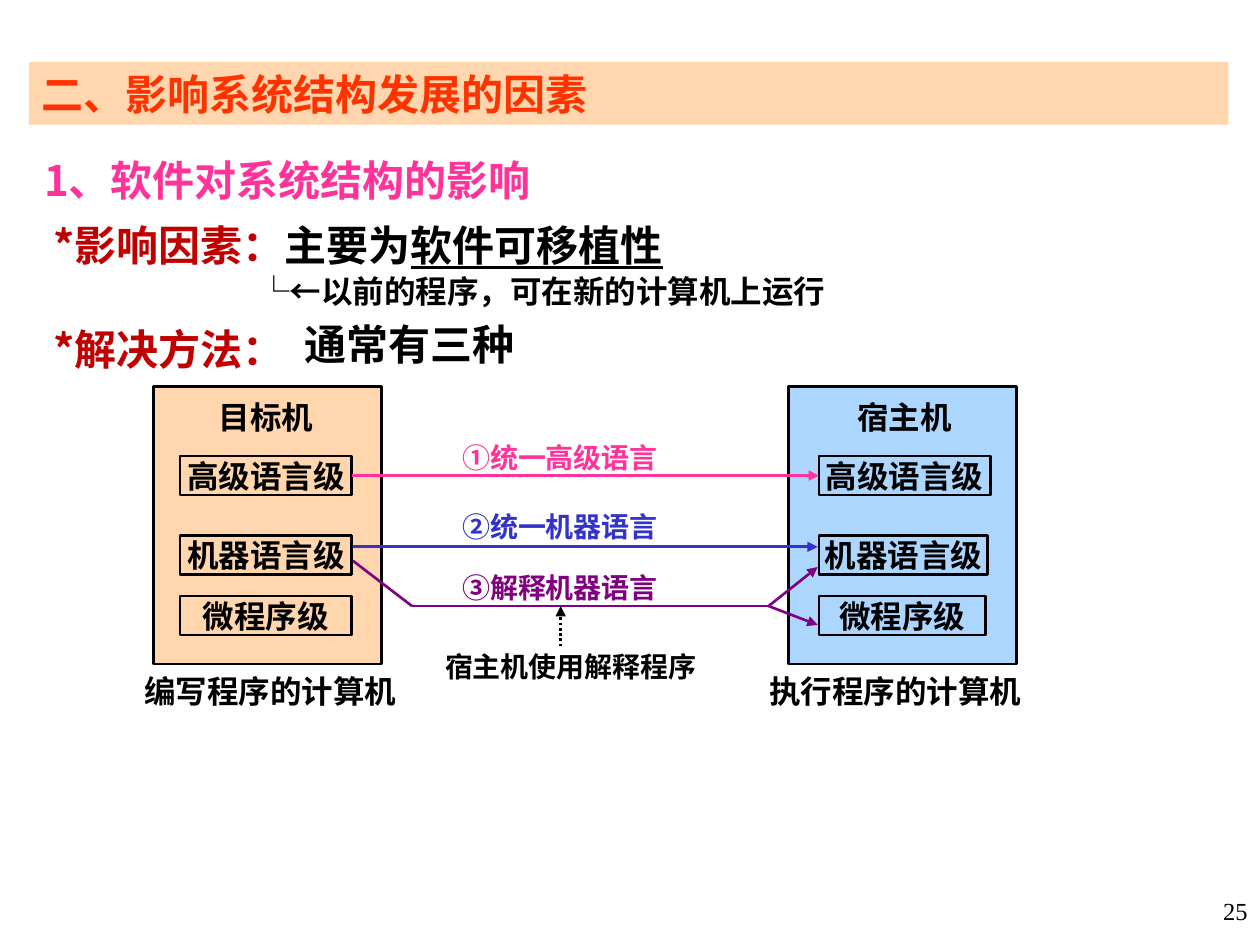
"""Build a slide on how software portability shapes computer architecture."""
from dataclasses import dataclass

from lxml.etree import SubElement
from pptx import Presentation
from pptx.dml.color import RGBColor
from pptx.enum.dml import MSO_LINE
from pptx.enum.shapes import MSO_CONNECTOR, MSO_SHAPE
from pptx.enum.text import MSO_ANCHOR, MSO_AUTO_SIZE, PP_ALIGN
from pptx.oxml.ns import qn
from pptx.util import Inches, Pt


@dataclass(frozen=True)
class Theme:
    latin: str = "Times New Roman"
    chinese: str = "Noto Sans CJK SC"
    black: str = "000000"
    orange: str = "FF3300"
    pink: str = "FF3399"
    red: str = "C00000"
    blue: str = "3333CC"
    purple: str = "800080"
    peach: str = "FFCC99"
    sky: str = "99CCFF"
    heading: int = 24
    label: int = 18
    route: int = 16
    number: int = 14
    line: float = 1.5


theme = Theme()


def add_run(paragraph, text, size, color, latin=theme.latin, bold=True):
    run = paragraph.add_run()
    run.text = text
    run.font.size = Pt(size)
    run.font.bold = bold
    run.font.color.rgb = RGBColor.from_string(color)
    run.font.name = latin
    SubElement(run.font._element, qn("a:ea"), typeface=theme.chinese)
    return run


def add_label(shape, text, size, color=theme.black):
    frame = shape.text_frame
    frame.word_wrap = True
    frame.vertical_anchor = MSO_ANCHOR.MIDDLE
    frame.margin_left = frame.margin_right = Inches(0.02)
    frame.margin_top = frame.margin_bottom = Inches(0.01)
    paragraph = frame.paragraphs[0]
    paragraph.alignment = PP_ALIGN.CENTER
    add_run(paragraph, text, size, color)


presentation = Presentation()
presentation.slide_width, presentation.slide_height = Inches(10), Inches(7.5)
slide = presentation.slides.add_slide(presentation.slide_layouts[1])
shapes = slide.shapes

number = shapes.add_textbox(Inches(8.86), Inches(7.06), Inches(1.14), Inches(0.39))
number.text_frame.word_wrap = True
number_line = number.text_frame.paragraphs[0]
number_line.alignment = PP_ALIGN.RIGHT
add_run(number_line, "25", theme.number, theme.black, bold=False)

title = shapes.title
title.left, title.top = Inches(0.23), Inches(0.49)
title.width, title.height = Inches(9.52), Inches(0.5)
title.text_frame.auto_size = MSO_AUTO_SIZE.NONE
title.text_frame.vertical_anchor = MSO_ANCHOR.MIDDLE
title_line = title.text_frame.paragraphs[0]
title_line.alignment = PP_ALIGN.LEFT
add_run(title_line, "二、影响系统结构发展的因素", theme.heading, theme.orange)

body = slide.placeholders[1]
body.left, body.top = Inches(0.25), Inches(1.07)
body.width, body.height = Inches(9.5), Inches(1.93)
body.text_frame.auto_size = MSO_AUTO_SIZE.NONE
body_lines = [
    (theme.heading, 36.7, 0, [("1、软件对系统结构的影响", theme.pink)]),
    (theme.heading, 36.7, 0, [
        (" *影响因素：", theme.red), ("主要为", theme.black), ("软件可移植性", theme.black)]),
    (theme.label, 23, 1.7, [
        ("└", theme.black), ("←以前的程序，可在新的计算机上运行", theme.black)]),
    (theme.heading, 36.7, 0, [(" *解决方法：", theme.red)]),
]
for index, (size, spacing, indent, pieces) in enumerate(body_lines):
    frame = body.text_frame
    paragraph = frame.add_paragraph() if index else frame.paragraphs[0]
    paragraph.space_before = Pt(0)
    paragraph.line_spacing = Pt(spacing)
    properties = paragraph._p.get_or_add_pPr()
    properties.set("marL", str(Inches(indent)))
    properties.set("indent", "0")
    SubElement(properties, qn("a:buNone"))
    for text, color in pieces:
        run = add_run(paragraph, text, size, color, theme.chinese, text != "└")
        if text == "软件可移植性":
            run.font.underline = True

methods = shapes.add_textbox(Inches(2.32), Inches(2.37), Inches(2.44), Inches(0.61))
methods.text_frame.word_wrap = True
methods_line = methods.text_frame.paragraphs[0]
methods_line.line_spacing = Pt(36.7)
add_run(methods_line, "通常有三种", theme.heading, theme.black, theme.chinese)

levels = [("高级语言级", 3.62), ("机器语言级", 4.25), ("微程序级", 4.73)]
machines = [
    ("目标机", theme.peach, 1.22, 1.43, (1.36, 1.36, 1.36), "编写程序的计算机", 1.1),
    ("宿主机", theme.sky, 6.26, 6.5, (1.36, 1.34, 1.32), "执行程序的计算机", 6.06),
]
tinted = [(title, theme.peach)]
level_boxes = {}
for name, color, panel_left, box_left, widths, caption, caption_left in machines:
    panel = shapes.add_shape(
        MSO_SHAPE.RECTANGLE, Inches(panel_left), Inches(3.07), Inches(1.81), Inches(2.2))
    tinted.append((panel, color))
    outlined = [panel]
    for (level, top), width in zip(levels, widths):
        box = shapes.add_shape(
            MSO_SHAPE.RECTANGLE, Inches(box_left), Inches(top), Inches(width), Inches(0.31))
        box.fill.background()
        add_label(box, level, theme.label)
        level_boxes[name, level] = box
        outlined.append(box)
    for shape in outlined:
        shape.shadow.inherit = False
        shape.line.color.rgb = RGBColor.from_string(theme.black)
        shape.line.width = Pt(theme.line)
    for text, left, top, width in [
            (name, box_left, 3.15, 1.36), (caption, caption_left, 5.33, 2.09)]:
        label = shapes.add_textbox(Inches(left), Inches(top), Inches(width), Inches(0.31))
        add_label(label, text, theme.label)

for shape, color in tinted:
    shape.fill.solid()
    shape.fill.fore_color.rgb = RGBColor.from_string(color)
    tint = shape.element.spPr.find(qn("a:solidFill"))[0]
    SubElement(tint, qn("a:alpha"), val="80000")

for text, left, top, width, color in [
        ("①统一高级语言", 3.58, 3.47, 1.73, theme.pink),
        ("②统一机器语言", 3.58, 4.02, 1.73, theme.blue),
        ("③解释机器语言", 3.58, 4.5, 1.73, theme.purple),
        ("宿主机使用解释程序", 3.35, 5.13, 2.36, theme.black)]:
    label = shapes.add_textbox(Inches(left), Inches(top), Inches(width), Inches(0.32))
    add_label(label, text, theme.route, color)

routes = [
    (2.79, 3.78, 6.5, 3.78, theme.pink, True),
    (2.8, 4.34, 6.49, 4.34, theme.blue, True),
    (2.8, 4.45, 3.27, 4.81, theme.purple, False),
    (3.27, 4.81, 6.1, 4.81, theme.purple, False),
    (6.1, 4.81, 6.49, 4.5, theme.purple, True),
    (6.1, 4.81, 6.49, 4.96, theme.purple, True),
    (4.45, 5.13, 4.45, 4.81, theme.black, True),
]
connectors = []
for x1, y1, x2, y2, color, has_arrow in routes:
    connector = shapes.add_connector(
        MSO_CONNECTOR.STRAIGHT, Inches(x1), Inches(y1), Inches(x2), Inches(y2))
    connector.line.color.rgb = RGBColor.from_string(color)
    connector.line.width = Pt(theme.line)
    if color == theme.black:
        connector.line.dash_style = MSO_LINE.ROUND_DOT
    properties = connector.element.spPr
    if has_arrow:
        SubElement(properties.find(qn("a:ln")), qn("a:tailEnd"), type="triangle")
    SubElement(properties, qn("a:effectLst"))
    connectors.append(connector)
connectors[0].begin_connect(level_boxes["目标机", "高级语言级"], 3)
connectors[0].end_connect(level_boxes["宿主机", "高级语言级"], 1)

presentation.save("out.pptx")
